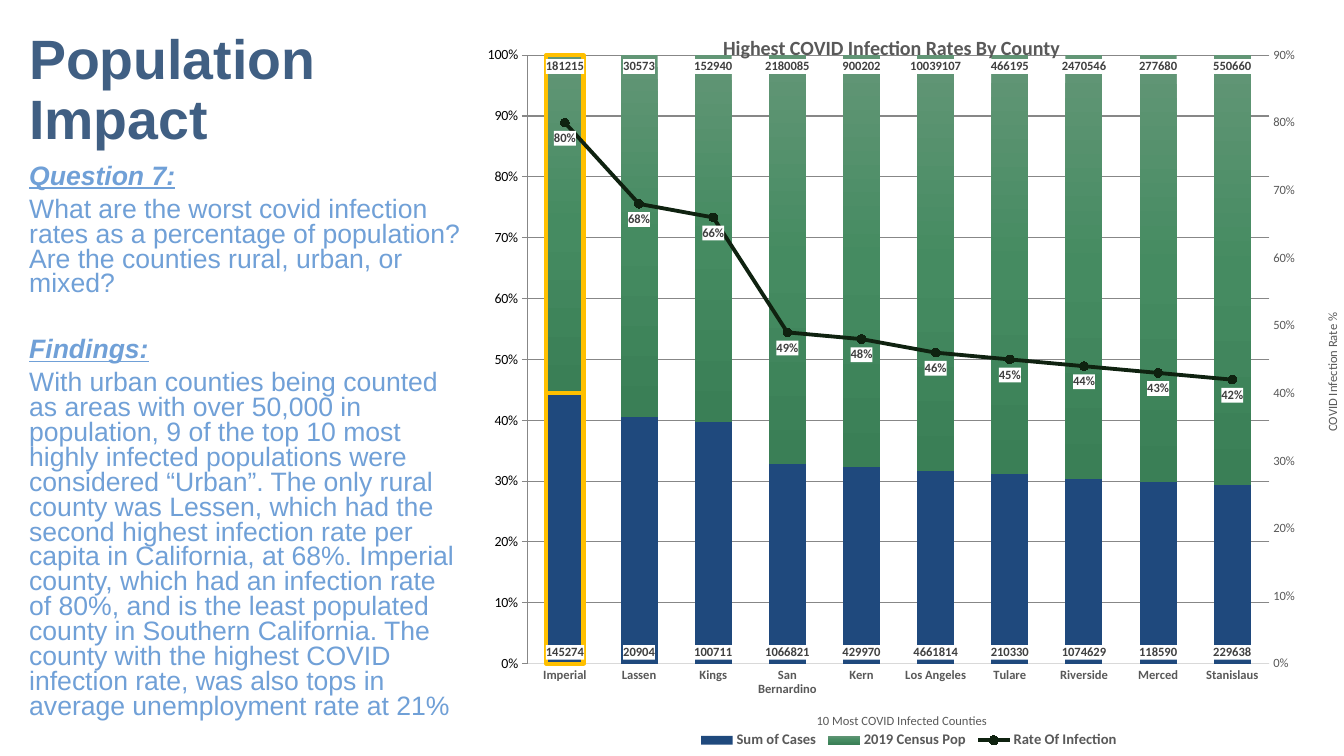
from copy import deepcopy
from dataclasses import dataclass
from typing import Any

from pptx import Presentation
from pptx.chart.axis import ValueAxis
from pptx.chart.data import CategoryChartData
from pptx.dml.color import RGBColor
from pptx.enum.chart import XL_CHART_TYPE as ChartType
from pptx.enum.chart import XL_LABEL_POSITION as LabelPosition
from pptx.enum.chart import XL_LEGEND_POSITION as LegendPosition
from pptx.enum.chart import XL_MARKER_STYLE as MarkerStyle
from pptx.enum.chart import XL_TICK_MARK as TickMark
from pptx.enum.text import MSO_ANCHOR as Anchor
from pptx.oxml import parse_xml
from pptx.oxml.ns import nsdecls, qn
from pptx.util import Pt

DARK_GREEN, GREY, LABEL_GREY, GOLD, WHITE = "0F2210", "595959", "404040", "FFC000", "FFFFFF"
HEADING_BLUE, BODY_BLUE = "405F83", "70A0D7"
GREENS = ("629676", "458B61", "3A7F56")


@dataclass
class TextLine:
    text: str
    size: float = 19
    color: str = BODY_BLUE
    spacing: float = 0.78
    before: float = 0
    bold: bool = False
    accent: bool = False


@dataclass
class TextBlock:
    box: tuple[float, float, float, float]
    anchor: Any
    lines: list[TextLine]


@dataclass
class Measure:
    name: str
    values: tuple[float, ...]
    colors: tuple[str, ...]
    label_position: Any
    number_format: str = "0"


BLOCKS = [
    TextBlock((11.5, 21.6, 352, 91.4), Anchor.BOTTOM, [
        TextLine("Population Impact", 39.6, HEADING_BLUE, 0.9, bold=True)]),
    TextBlock((11.5, 113, 330, 414.7), Anchor.TOP, [
        TextLine("Question 7:", bold=True, accent=True),
        TextLine("What are the worst covid infection rates as a percentage of population? "
                 "Are the counties rural, urban, or mixed?"),
        TextLine("Findings:", before=23, bold=True, accent=True),
        TextLine("With urban counties being counted as areas with over 50,000 in population, "
                 "9 of the top 10 most highly infected populations were considered “Urban”. "
                 "The only rural county was Lessen, which had the second highest infection rate "
                 "per capita in California, at 68%. Imperial county, which had an infection rate "
                 "of 80%, and is the least populated county in Southern California. The county "
                 "with the highest COVID infection rate, was also tops in average unemployment "
                 "rate at 21%")]),
]
COUNTIES = ("Imperial", "Lassen", "Kings", "San Bernardino", "Kern", "Los Angeles",
            "Tulare", "Riverside", "Merced", "Stanislaus")
MEASURES = [
    Measure("Sum of Cases", (145274, 20904, 100711, 1066821, 429970, 4661814, 210330,
                             1074629, 118590, 229638), ("1F497D",), LabelPosition.INSIDE_BASE),
    Measure("2019 Census Pop", (181215, 30573, 152940, 2180085, 900202, 10039107, 466195,
                                2470546, 277680, 550660), GREENS, LabelPosition.INSIDE_END),
    Measure("Rate Of Infection", (0.8, 0.68, 0.66, 0.49, 0.48, 0.46, 0.45, 0.44, 0.43, 0.42),
            (DARK_GREEN,), LabelPosition.BELOW, "0%"),
]


def rgb(color: str) -> RGBColor:
    return RGBColor.from_string(color)


def set_values(target: Any, values: dict[str, Any]) -> None:
    for name, value in values.items():
        setattr(target, name, value)


def set_font(font: Any, size: float, color: str, bold: bool = False, name: str = "Calibri") -> None:
    set_values(font, {"size": Pt(size), "bold": bold, "name": name})
    font.color.rgb = rgb(color)


def set_fill(fill: Any, colors: tuple[str, ...], holder: Any) -> None:
    if len(colors) == 1:
        fill.solid()
        fill.fore_color.rgb = rgb(colors[0])
        return
    fill.gradient()
    fill.gradient_angle = 270
    stops = holder.find(".//" + qn("a:gsLst"))
    while len(stops) < len(colors):
        stops.append(deepcopy(stops[0]))
    for index, (stop, color) in enumerate(zip(fill.gradient_stops, colors)):
        stop.color.rgb = rgb(color)
        stop.position = index / (len(colors) - 1)


def set_layout(element: Any, sizes: dict[str, float], inner: bool = False) -> None:
    target = '<c:layoutTarget val="inner"/>' if inner else ""
    modes = "".join(f'<c:{key}Mode val="edge"/>' for key in "xy")
    lengths = "".join(f'<c:{key} val="{value}"/>' for key, value in sizes.items())
    layout = parse_xml(f'<c:layout {nsdecls("c")}><c:manualLayout>{target}{modes}{lengths}'
                       '</c:manualLayout></c:layout>')
    for existing in element.findall(qn("c:layout")):
        element.remove(existing)
    leading = [child for child in element if child.tag in (qn("c:tx"), qn("c:legendPos"))]
    element.insert(len(leading), layout)


def add_title(owner: Any, kind: str, text: str, size: float, color: str,
              bold: bool, x: float, y: float) -> Any:
    title = getattr(owner, kind)
    title.text_frame.text = text
    set_font(title.text_frame.paragraphs[0].runs[0].font, size, color, bold)
    element = title._element
    set_layout(element, {"x": x, "y": y})
    return element


def add_text(slide: Any, block: TextBlock) -> None:
    frame = slide.shapes.add_textbox(*map(Pt, block.box)).text_frame
    set_values(frame, {"word_wrap": True, "vertical_anchor": block.anchor,
                       "margin_left": Pt(9.4), "margin_right": Pt(9.4),
                       "margin_top": Pt(5), "margin_bottom": Pt(5)})
    for index, line in enumerate(block.lines):
        paragraph = frame.add_paragraph() if index else frame.paragraphs[0]
        set_values(paragraph, {"line_spacing": line.spacing, "space_after": Pt(6),
                               "space_before": Pt(line.before)})
        run = paragraph.add_run()
        run.text = line.text
        set_font(run.font, line.size, line.color, line.bold, "Arial")
        set_values(run.font, {"italic": line.accent, "underline": line.accent})


def move_to_second_axis(chart: Any) -> ValueAxis:
    plot_area = chart._chartSpace.chart.plotArea
    bars = plot_area.find(qn("c:barChart"))
    rate = bars.findall(qn("c:ser"))[-1]
    for flag in rate.findall(qn("c:invertIfNegative")):
        rate.remove(flag)
    lines = parse_xml(f'<c:lineChart {nsdecls("c")}><c:grouping val="stacked"/>'
                      '<c:varyColors val="0"/><c:marker val="1"/>'
                      '<c:axId val="5001"/><c:axId val="5002"/></c:lineChart>')
    lines.insert(2, rate)
    bars.addnext(lines)
    last_axis = plot_area.find(qn("c:valAx"))
    for tag, own, other, position, hidden, crosses in (
            ("catAx", 5001, 5002, "b", 1, "autoZero"), ("valAx", 5002, 5001, "r", 0, "max")):
        axis = parse_xml(
            f'<c:{tag} {nsdecls("c")}><c:axId val="{own}"/><c:scaling>'
            f'<c:orientation val="minMax"/></c:scaling><c:delete val="{hidden}"/>'
            f'<c:axPos val="{position}"/><c:tickLblPos val="nextTo"/>'
            f'<c:crossAx val="{other}"/><c:crosses val="{crosses}"/></c:{tag}>')
        last_axis.addnext(axis)
        last_axis = axis
    return ValueAxis(last_axis)


def format_value_axis(axis: Any, maximum: float, tick: Any) -> None:
    set_values(axis, {"minimum_scale": 0, "maximum_scale": maximum, "major_unit": 0.1,
                      "has_major_gridlines": False, "major_tick_mark": tick,
                      "minor_tick_mark": TickMark.NONE})
    set_values(axis.tick_labels, {"number_format": "0%", "number_format_is_linked": False})
    set_font(axis.tick_labels.font, 9, GREY)
    axis.format.line.fill.background()


def format_labels(series: Any, measure: Measure) -> None:
    labels = series.data_labels
    set_values(labels, {"show_value": True, "position": measure.label_position,
                        "number_format": measure.number_format, "number_format_is_linked": False})
    set_font(labels.font, 9, LABEL_GREY, True)
    labels._element.find(qn("c:txPr")).addprevious(parse_xml(
        f'<c:spPr {nsdecls("c", "a")}><a:solidFill><a:srgbClr val="{WHITE}"/></a:solidFill></c:spPr>'))


def add_county_chart(slide: Any) -> None:
    data = CategoryChartData()
    data.categories = COUNTIES
    for measure in MEASURES:
        data.add_series(measure.name, measure.values, measure.number_format)
    chart = slide.shapes.add_chart(ChartType.COLUMN_STACKED_100, Pt(342), Pt(0), Pt(618), Pt(540),
                                   data).chart
    set_font(chart.font, 10, "000000")
    rate_axis = move_to_second_axis(chart)
    bars, lines = chart.plots
    set_values(bars, {"gap_width": 100, "overlap": 100, "vary_by_categories": False})

    for series, measure in zip([*bars.series, *lines.series], MEASURES):
        format_labels(series, measure)
    for series, measure in zip(bars.series, MEASURES):
        set_fill(series.format.fill, measure.colors, series._element)
        imperial = series.points[0].format
        set_fill(imperial.fill, measure.colors, series._element.find(qn("c:dPt")))
        imperial.line.color.rgb = rgb(GOLD)
        imperial.line.width = Pt(3)
    rate = lines.series[0]
    rate.smooth = False
    rate.format.line.color.rgb = rgb(DARK_GREEN)
    rate.format.line.width = Pt(2.75)
    set_values(rate.marker, {"style": MarkerStyle.CIRCLE, "size": 6})
    set_fill(rate.marker.format.fill, (DARK_GREEN,), rate._element)
    rate.marker.format.line.color.rgb = rgb(DARK_GREEN)

    format_value_axis(chart.value_axis, 1, TickMark.NONE)
    format_value_axis(rate_axis, 0.9, TickMark.NONE)
    counties = chart.category_axis
    set_values(counties, {"major_tick_mark": TickMark.NONE, "minor_tick_mark": TickMark.NONE})
    set_font(counties.tick_labels.font, 9, GREY, True)
    counties.format.line.color.rgb = rgb("D9D9D9")
    counties.format.line.width = Pt(1)

    add_title(chart, "chart_title", "Highest COVID Infection Rates By County", 14.4, GREY, True, 0.28, 0.04)
    add_title(counties, "axis_title", "10 Most COVID Infected Counties", 9, GREY, False, 0.39, 0.94)
    rate_title = add_title(rate_axis, "axis_title", "COVID Infection Rate %", 9, GREY, False, 0.98, 0.41)
    set_values_on = rate_title.find(".//" + qn("a:bodyPr"))
    set_values_on.set("rot", "-5400000")
    set_values_on.set("vert", "horz")

    chart.has_legend = True
    set_values(chart.legend, {"position": LegendPosition.BOTTOM, "include_in_layout": False})
    set_font(chart.legend.font, 10.5, GREY, True)
    set_layout(chart.legend._element, {"x": 0.25, "y": 0.97, "w": 0.5, "h": 0.03})
    set_layout(chart._chartSpace.chart.plotArea, {"x": 0.057, "y": 0.073, "w": 0.862, "h": 0.805}, True)


def main() -> None:
    presentation = Presentation()
    set_values(presentation, {"slide_width": Pt(960), "slide_height": Pt(540)})
    slide = presentation.slides.add_slide(presentation.slide_layouts[6])
    for block in BLOCKS:
        add_text(slide, block)
    add_county_chart(slide)
    presentation.save("out.pptx")


if __name__ == "__main__":
    main()
